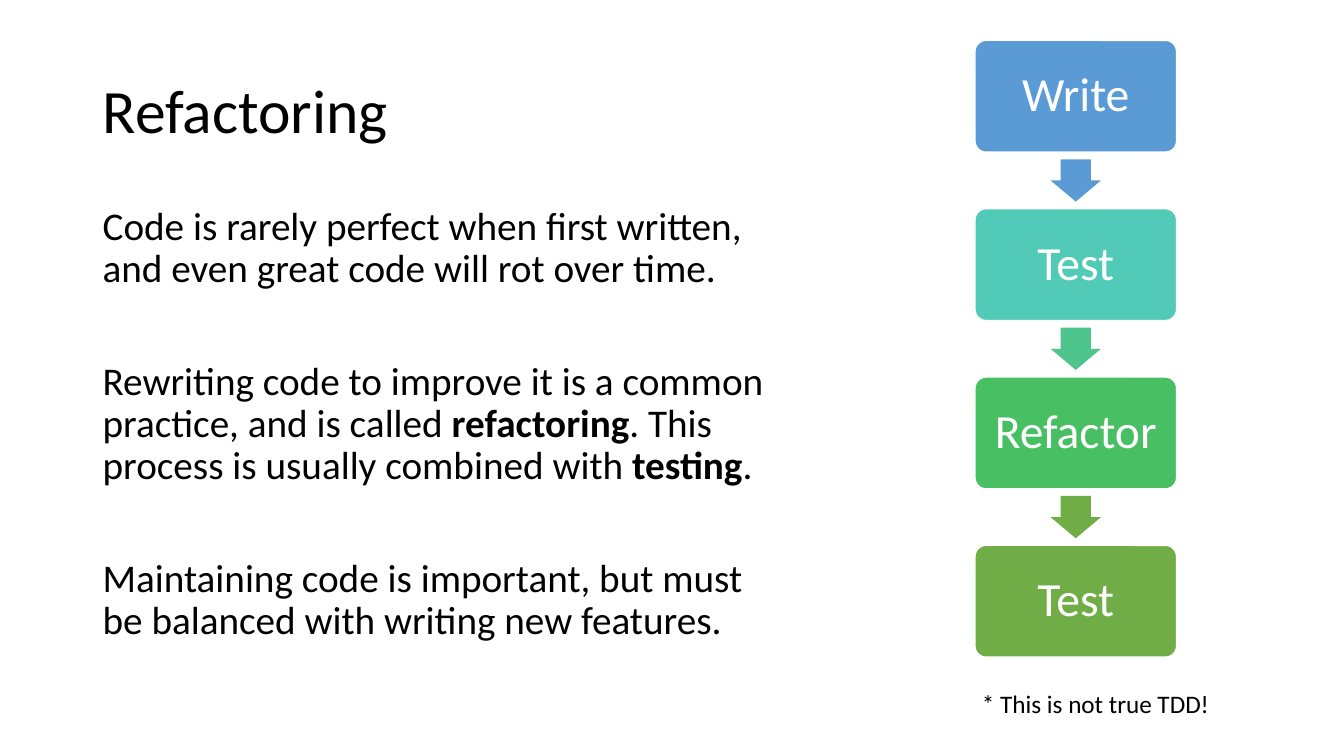
import pptx
import pptx.util
import pptx.dml.color
import pptx.enum.shapes
import pptx.enum.text

Inches = pptx.util.Inches
Pt = pptx.util.Pt
SHAPE = pptx.enum.shapes.MSO_SHAPE
ANCHOR = pptx.enum.text.MSO_ANCHOR
ALIGN = pptx.enum.text.PP_ALIGN

FONT = "Calibri"
COLORS = {
    "text": "000000",
    "white": "FFFFFF",
    "blue": "5B9BD5",
    "teal": "52CAB8",
    "mint": "4DC58D",
    "green": "49BF64",
    "olive": "70AD47",
}
BODY = [
    [("Code is rarely perfect when first written, and even great code will rot over time.", False)],
    [
        ("Rewriting code to improve it is a common practice, and is called ", False),
        ("refactoring", True),
        (". This process is usually combined with ", False),
        ("testing", True),
        (".", False),
    ],
    [("Maintaining code is important, but must be balanced with writing new features.", False)],
]
STEPS = [("Write", "blue"), ("Test", "teal"), ("Refactor", "green"), ("Test", "olive")]
ARROWS = ["blue", "mint", "olive"]
STEP_LEFT, STEP_TOP, STEP_W, STEP_H, STEP_PITCH = 9.67, 0.4, 2, 1.11, 1.67
ARROW_W, ARROW_H = 0.5, 0.42


def rgb(color):
    return pptx.dml.color.RGBColor.from_string(COLORS[color])


def add_run(p, text, size, color="text", bold=False):
    r = p.add_run()
    r.text = text
    r.font.name = FONT
    r.font.size = Pt(size)
    r.font.bold = bold
    r.font.color.rgb = rgb(color)


def add_text(s, left, top, width, height, paragraphs, size,
             anchor=ANCHOR.TOP, wrap=True, line_spacing=0.9, first_gap=0, gap=0):
    tf = s.shapes.add_textbox(Inches(left), Inches(top), Inches(width), Inches(height)).text_frame
    tf.word_wrap = wrap
    tf.vertical_anchor = anchor
    for i, runs in enumerate(paragraphs):
        p = tf.add_paragraph() if i else tf.paragraphs[0]
        p.line_spacing = line_spacing
        p.space_before = Pt(gap if i else first_gap)
        for text, bold in runs:
            add_run(p, text, size, bold=bold)


def add_block(s, kind, left, top, width, height, color):
    sp = s.shapes.add_shape(kind, Inches(left), Inches(top), Inches(width), Inches(height))
    sp.shadow.inherit = False
    sp.fill.solid()
    sp.fill.fore_color.rgb = rgb(color)
    sp.line.fill.background()
    return sp


def add_step(s, top, label, color):
    sp = add_block(s, SHAPE.ROUNDED_RECTANGLE, STEP_LEFT, top, STEP_W, STEP_H, color)
    sp.adjustments[0] = 0.1
    sp.line.color.rgb = rgb("white")
    sp.line.width = Pt(1)
    tf = sp.text_frame
    tf.word_wrap = True
    tf.vertical_anchor = ANCHOR.MIDDLE
    tf.margin_left = tf.margin_right = tf.margin_top = tf.margin_bottom = Inches(0.14)
    p = tf.paragraphs[0]
    p.alignment = ALIGN.CENTER
    p.line_spacing = 0.9
    add_run(p, label, 34, "white")


def add_arrow(s, step_top, color):
    left = STEP_LEFT + (STEP_W - ARROW_W) / 2
    top = step_top + STEP_H + (STEP_PITCH - STEP_H - ARROW_H) / 2
    sp = add_block(s, SHAPE.DOWN_ARROW, left, top, ARROW_W, ARROW_H, color)
    sp.adjustments[0] = 0.6
    sp.adjustments[1] = 0.5


def main():
    prs = pptx.Presentation()
    prs.slide_width = Inches(13.33)
    prs.slide_height = Inches(7.5)
    s = prs.slides.add_slide(prs.slide_layouts[6])

    add_text(s, 0.92, 0.4, 11.5, 1.45, [[("Refactoring", False)]], 44, anchor=ANCHOR.MIDDLE)
    add_text(s, 0.92, 2, 6.85, 5.18, BODY, 28, first_gap=10, gap=50)

    for i, (label, color) in enumerate(STEPS):
        top = STEP_TOP + i * STEP_PITCH
        add_step(s, top, label, color)
        if i < len(ARROWS):
            add_arrow(s, top, ARROWS[i])

    add_text(s, 9.64, 6.78, 2.48, 0.4, [[("* This is not true TDD!", False)]], 18,
             wrap=False, line_spacing=1)
    prs.save("out.pptx")


if __name__ == "__main__":
    main()
